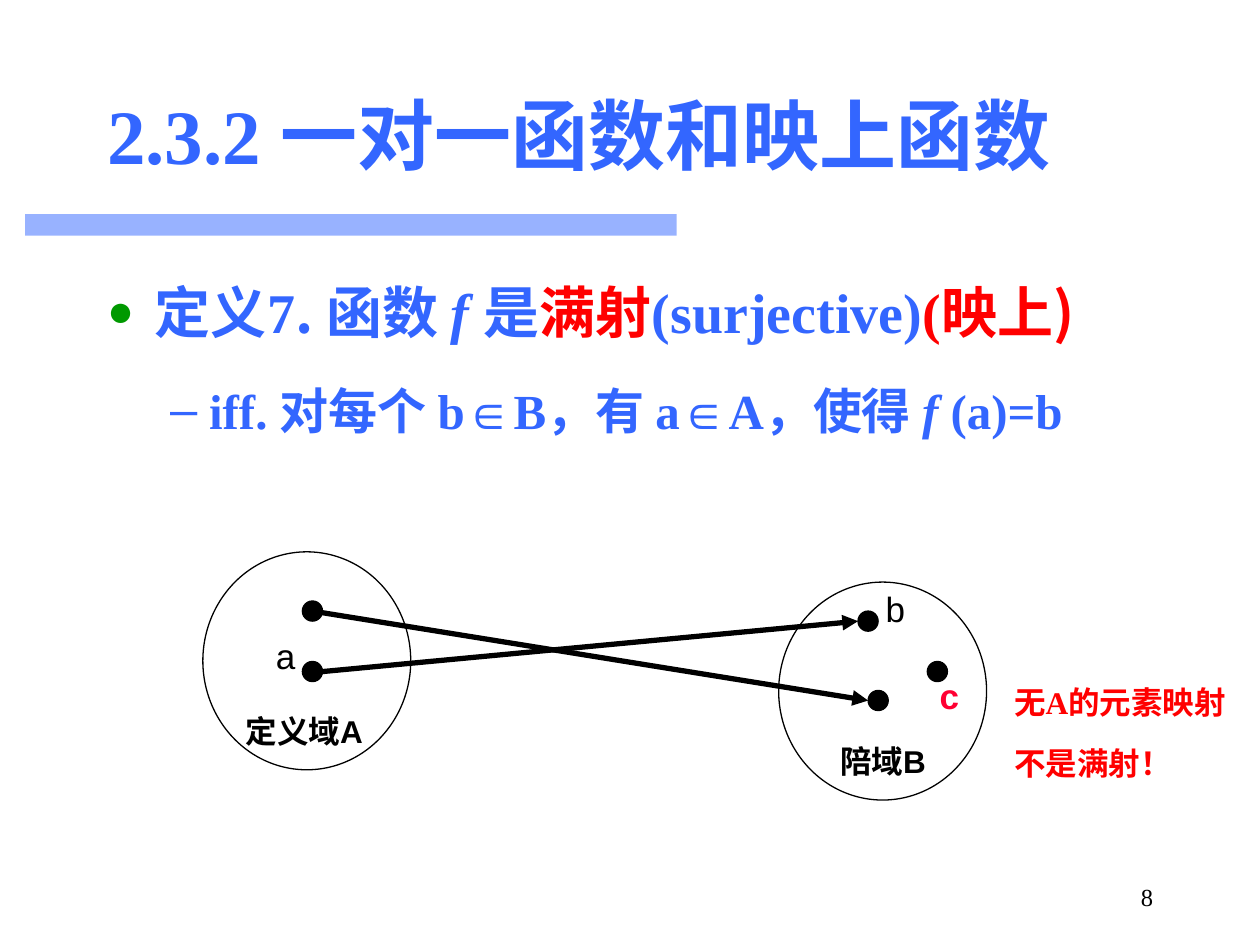
"""Build the slide that defines surjective functions."""
from dataclasses import dataclass

import pptx
import pptx.dml.color
import pptx.enum.shapes
import pptx.enum.text
import pptx.oxml
import pptx.oxml.ns
import pptx.util

PX = 9144
DOT = 16
ALIGN = pptx.enum.text.PP_ALIGN
ANCHOR = pptx.enum.text.MSO_ANCHOR
SHAPE = pptx.enum.shapes.MSO_SHAPE


@dataclass(frozen=True)
class Theme:
    """Colours, fonts and type sizes of the slide."""
    blue: str = "3366FF"
    red: str = "FF0000"
    crimson: str = "FF0033"
    green: str = "009900"
    black: str = "000000"
    serif: str = "Times New Roman"
    sans: str = "Arial"
    hans: str = "Noto Sans CJK SC"
    title: int = 44
    lead: int = 32
    detail: int = 28
    point: int = 20
    caption: int = 18
    number: int = 14


def rgb(color):
    """Return a colour object for a hex string."""
    return pptx.dml.color.RGBColor.from_string(color)


def element(xml):
    """Parse one DrawingML element, given without its namespace."""
    tag, rest = xml[:-2].split(" ", 1) if " " in xml else (xml[:-2], "")
    return pptx.oxml.parse_xml(f"<a:{tag} {pptx.oxml.ns.nsdecls('a')} {rest}/>")


def write(paragraph, text, *, size, font, color, bold=False, italic=False):
    """Append formatted text to a paragraph."""
    run = paragraph.add_run()
    run.text = text
    run.font.size = pptx.util.Pt(size)
    run.font.name = font
    run.font.bold = bold
    run.font.italic = italic
    run.font.color.rgb = rgb(color)
    latin = run.font._element.find(pptx.oxml.ns.qn("a:latin"))
    latin.addnext(element(f'ea typeface="{Theme.hans}"/>'))


def hang(paragraph, left, first, spacing=1.4, before=0):
    """Give a paragraph its hanging indent and spacing."""
    properties = paragraph._p.get_or_add_pPr()
    properties.set("marL", str(left * PX))
    properties.set("indent", str(-first * PX))
    paragraph.line_spacing = spacing
    paragraph.space_before = pptx.util.Pt(before)
    paragraph.alignment = ALIGN.LEFT


def bullet(paragraph, mark, color, percent=100):
    """Give a paragraph a coloured bullet."""
    properties = paragraph._p.get_or_add_pPr()
    for xml in (f'buSzPct val="{percent * 1000}"/>', f'buChar char="{mark}"/>'):
        properties.append(element(xml))
    tint = element("buClr/>")
    tint.append(element(f'srgbClr val="{color}"/>'))
    properties.find(pptx.oxml.ns.qn("a:buSzPct")).addprevious(tint)


class SlideBuilder:
    """Hold the theme and the current slide, and add elements to it."""

    def __init__(self, deck, theme):
        """Start a slide with a title and a body."""
        self.theme = theme
        self.slide = deck.slides.add_slide(deck.slide_layouts[1])

    def placeholder(self, index, left, top, width, height, anchor):
        """Move a placeholder and return its text frame."""
        holder = self.slide.placeholders[index]
        holder.left, holder.top = left * PX, top * PX
        holder.width, holder.height = width * PX, height * PX
        frame = holder.text_frame
        frame.auto_size = pptx.enum.text.MSO_AUTO_SIZE.NONE
        frame.vertical_anchor = anchor
        return frame

    def text_box(self, left, top, width, height, wrap=True):
        """Add a text box and return its text frame."""
        box = self.slide.shapes.add_textbox(left * PX, top * PX, width * PX, height * PX)
        box.text_frame.word_wrap = wrap
        return box.text_frame

    def label(self, text, left, top, width, height, **style):
        """Add a short diagram label."""
        paragraph = self.text_box(left, top, width, height).paragraphs[0]
        hang(paragraph, 38, 38)
        write(paragraph, text, **{"font": self.theme.sans, "color": self.theme.black, **style})

    def bar(self, left, top, width, height, opacity):
        """Add a translucent bar."""
        shape = self.slide.shapes.add_shape(
            SHAPE.RECTANGLE, left * PX, top * PX, width * PX, height * PX)
        shape.shadow.inherit = False
        shape.line.fill.background()
        shape.fill.solid()
        shape.fill.fore_color.rgb = rgb(self.theme.blue)
        tint = shape._element.spPr.find(".//" + pptx.oxml.ns.qn("a:srgbClr"))
        tint.append(element(f'alpha val="{opacity * 1000}"/>'))

    def ellipse(self, left, top, width, height, filled=False):
        """Add an outlined ellipse, filled on request."""
        shape = self.slide.shapes.add_shape(
            SHAPE.OVAL, left * PX, top * PX, width * PX, height * PX)
        shape.shadow.inherit = False
        shape.line.color.rgb = rgb(self.theme.black)
        shape.line.width = pptx.util.Pt(0.75)
        if filled:
            shape.fill.solid()
            shape.fill.fore_color.rgb = rgb(self.theme.black)
        else:
            shape.fill.background()

    def arrow(self, start, end):
        """Add an arrow between two points."""
        line = self.slide.shapes.add_connector(
            pptx.enum.shapes.MSO_CONNECTOR.STRAIGHT, *(value * PX for value in start + end))
        line.line.color.rgb = rgb(self.theme.black)
        line.line.width = pptx.util.Pt(3)
        line.line._get_or_add_ln().append(element('tailEnd type="triangle"/>'))
        line._element.spPr.append(element("effectLst/>"))


def add_heading(page):
    """Write the title, its bar and the slide number."""
    theme = page.theme
    page.bar(20, 170, 517, 17, opacity=50)
    heading = page.placeholder(0, 75, 44, 850, 125, ANCHOR.MIDDLE).paragraphs[0]
    hang(heading, 92, 92, spacing=1.0)
    for text, font in (("2.3.2 ", theme.serif), ("一对一函数和映上函数", theme.hans)):
        write(heading, text, size=theme.title, font=font, color=theme.blue, bold=True)
    number_frame = page.text_box(717, 698, 208, 27, wrap=False)
    number_frame.vertical_anchor = ANCHOR.MIDDLE
    number = number_frame.paragraphs[0]
    number.alignment = ALIGN.RIGHT
    write(number, "8", size=theme.number, font=theme.serif, color=theme.black)


def add_definition(page):
    """Write the definition and its condition."""
    theme = page.theme
    serif, hans, blue, red = theme.serif, theme.hans, theme.blue, theme.red
    body = page.placeholder(1, 75, 194, 850, 488, ANCHOR.TOP)
    definition, condition = body.paragraphs[0], body.add_paragraph()
    condition.level = 1
    bullet(definition, "●", theme.green, percent=80)
    bullet(condition, "–", blue)
    hang(definition, 38, 38)
    hang(condition, 81, 31, before=7)
    for text, font, color in (
            ("定义", hans, blue), ("7", serif, blue), (". 函数 ", hans, blue),
            ("f ", serif, blue), ("是", hans, blue), ("满射", hans, red),
            ("(surjective)", serif, blue), ("(", serif, red), ("映上)", hans, red)):
        write(definition, text, size=theme.lead, font=font, color=color,
              bold=True, italic=text == "f ")
    for text, font in (
            ("iff. ", serif), ("对每个 ", hans), ("b∈B，", serif), ("有 ", hans),
            ("a∈A", serif), ("，使得 ", hans), ("f", serif), (" (a)=b", serif)):
        write(condition, text, size=theme.detail, font=font, color=blue,
              bold=True, italic=text == "f")


def add_mapping(page):
    """Draw the two sets, their points, the arrows and the labels."""
    theme = page.theme
    for left, top in ((161, 438), (618, 462)):
        page.ellipse(left, top, 165, 173)
    upper, a, b, lower, c = (240, 477), (240, 525), (681, 485), (689, 548), (736, 525)
    for left, top in (upper, a, b, lower, c):
        page.ellipse(left, top, DOT, DOT, filled=True)
    half = DOT // 2
    page.arrow((upper[0] + half, upper[1] + half), (lower[0], lower[1] + half))
    page.arrow((a[0] + DOT, a[1] + half), (b[0], b[1] + half))
    page.label("a", 209, 485, 39, 55, size=theme.point)
    page.label("b", 693, 448, 39, 55, size=theme.point)
    page.label("c", 736, 517, 32, 55, size=theme.point, color=theme.crimson, bold=True)
    page.label("定义域A", 185, 548, 118, 47, size=theme.caption, bold=True)
    page.label("陪域B", 657, 572, 95, 47, size=theme.caption, bold=True)


def add_remark(page):
    """Write the remark that the mapping is not surjective."""
    theme = page.theme
    frame = page.text_box(795, 525, 193, 118)
    reason, verdict = frame.paragraphs[0], frame.add_paragraph()
    hang(reason, 67, 67)
    hang(verdict, 67, 67, before=4.5)
    for paragraph, text, font in (
            (reason, "无", theme.hans), (reason, "A", theme.serif),
            (reason, "的元素映射", theme.hans), (verdict, "不是满射！", theme.hans)):
        write(paragraph, text, size=theme.caption, font=font, color=theme.red, bold=True)


def main():
    """Build and save the slide."""
    deck = pptx.Presentation()
    deck.slide_width, deck.slide_height = 1000 * PX, 750 * PX
    page = SlideBuilder(deck, Theme())
    for add_part in (add_heading, add_definition, add_remark, add_mapping):
        add_part(page)
    deck.save("out.pptx")


if __name__ == "__main__":
    main()
